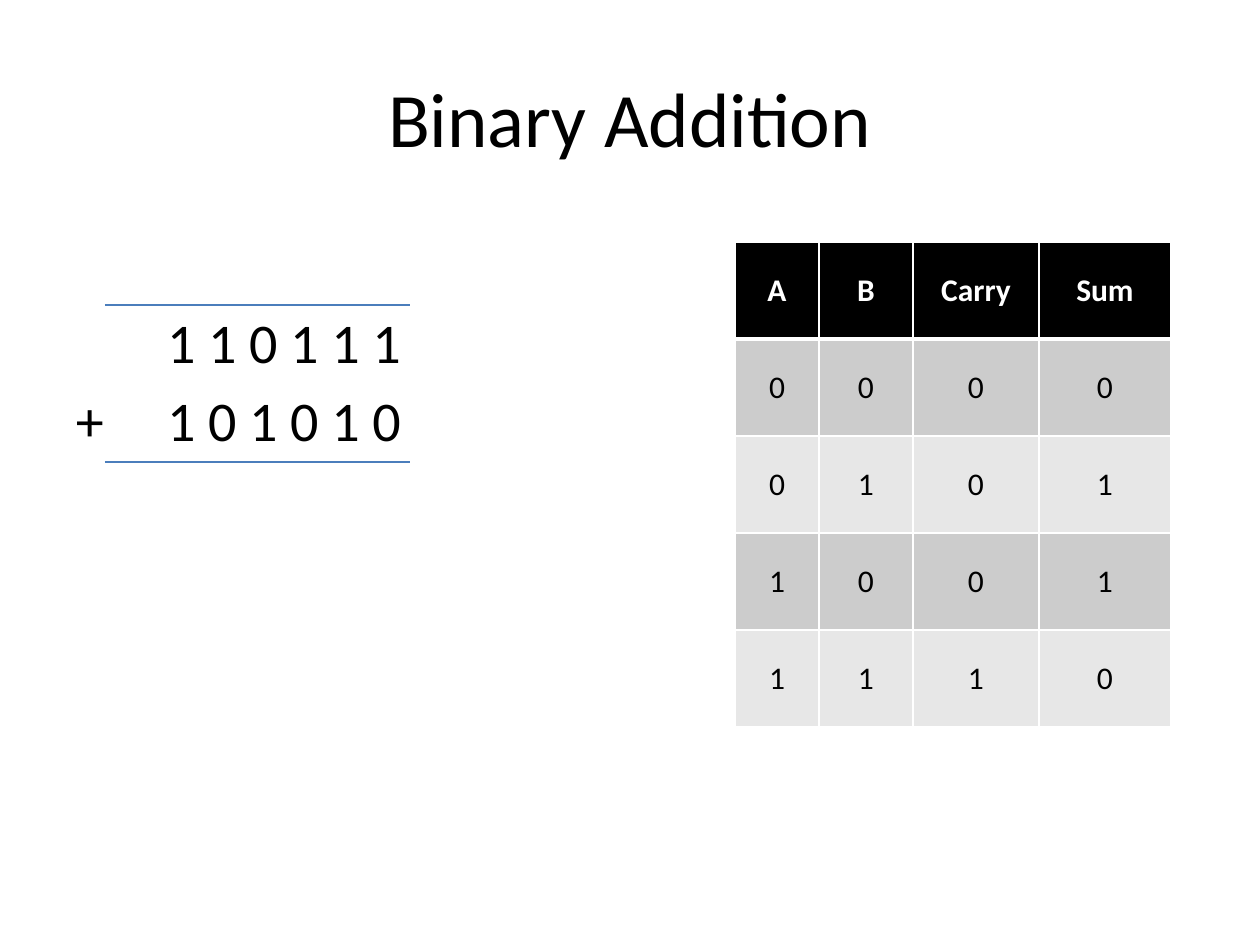
from dataclasses import dataclass

from lxml import etree
from pptx import Presentation
from pptx.dml.color import RGBColor
from pptx.enum.shapes import MSO_CONNECTOR
from pptx.enum.text import MSO_ANCHOR, PP_ALIGN
from pptx.oxml.ns import qn
from pptx.util import Pt

PX = 914400 / 126
STRAIGHT = MSO_CONNECTOR.STRAIGHT
MIDDLE = MSO_ANCHOR.MIDDLE
CENTER = PP_ALIGN.CENTER
LEFT = PP_ALIGN.LEFT


@dataclass(frozen=True)
class Theme:
    font: str = "Calibri"
    ink: str = "000000"
    paper: str = "FFFFFF"
    rule: str = "4B7EBC"
    bands: tuple = ("CCCCCC", "E7E7E7")
    title_size: int = 44
    sum_size: int = 32
    table_size: int = 18
    rule_width: float = 0.75
    grid_width: int = 1
    header_width: int = 3


THEME = Theme()


def px(length):
    return round(length * PX)


def box_emu(*box):
    return [px(length) for length in box]


def style(paragraph, size, color, align, bold=False):
    paragraph.alignment = align
    for run in paragraph.runs:
        run.font.name = THEME.font
        run.font.size = Pt(size)
        run.font.bold = bold
        run.font.color.rgb = RGBColor.from_string(color)


def add_title(slide, box, heading):
    title = slide.shapes.title
    title.left, title.top, title.width, title.height = box_emu(*box)
    title.text_frame.text = heading
    title.text_frame.vertical_anchor = MIDDLE
    style(title.text_frame.paragraphs[0], THEME.title_size, THEME.ink, CENTER)


def add_rule(slide, left, y, width):
    rule = slide.shapes.add_connector(STRAIGHT, *box_emu(left, y, left + width, y))
    rule.line.color.rgb = RGBColor.from_string(THEME.rule)
    rule.line.width = Pt(THEME.rule_width)
    etree.SubElement(rule._element.spPr, qn("a:effectLst"))


def add_sum(slide, box, addends):
    left, top, width, height = box
    working = slide.shapes.add_textbox(*box_emu(left, top + 3, width, height - 3))
    frame = working.text_frame
    frame.word_wrap = True
    frame.margin_left = frame.margin_right = 0
    frame.margin_top = frame.margin_bottom = 0
    frame.text = "\n".join(addends)
    for index, paragraph in enumerate(frame.paragraphs):
        tabs = etree.SubElement(paragraph._p.get_or_add_pPr(), qn("a:tabLst"))
        etree.SubElement(tabs, qn("a:tab"), pos=str(px(width - 9)), algn="r")
        if index:
            paragraph.space_before = Pt(6)
        style(paragraph, THEME.sum_size, THEME.ink, LEFT)
    for y in (top, top + height):
        add_rule(slide, left + 29, y, width - 29)


def add_border(cell, side, width):
    border = etree.SubElement(cell._tc.get_or_add_tcPr(), qn(f"a:ln{side}"), w=str(Pt(width)))
    fill = etree.SubElement(border, qn("a:solidFill"))
    etree.SubElement(fill, qn("a:srgbClr"), val=THEME.paper)


def format_cell(cell, row, value):
    header = row == 0
    cell.text_frame.text = value
    cell.vertical_anchor = MIDDLE
    color = THEME.paper if header else THEME.ink
    style(cell.text_frame.paragraphs[0], THEME.table_size, color, CENTER, header)
    heavy_side = {0: "B", 1: "T"}.get(row)
    for side in "LRTB":
        add_border(cell, side, THEME.header_width if side == heavy_side else THEME.grid_width)
    cell.fill.solid()
    background = THEME.ink if header else THEME.bands[(row - 1) % 2]
    cell.fill.fore_color.rgb = RGBColor.from_string(background)


def add_truth_table(slide, box, column_widths, rows):
    table = slide.shapes.add_table(len(rows), len(column_widths), *box_emu(*box)).table
    for column, width in zip(table.columns, column_widths):
        column.width = px(width)
    for row, values in enumerate(rows):
        table.rows[row].height = px(box[3] // len(rows))
        for column, value in enumerate(values):
            format_cell(table.cell(row, column), row, value)


def main():
    deck = Presentation()
    deck.slide_width, deck.slide_height = box_emu(1260, 945)
    slide = deck.slides.add_slide(deck.slide_layouts[5])
    add_title(slide, (63, 38, 1134, 158), "Binary Addition")
    add_sum(slide, (76, 305, 334, 157), ["\t1 1 0 1 1 1", "+\t1 0 1 0 1 0"])
    half_adder = [(a, b, a & b, a ^ b) for a in (0, 1) for b in (0, 1)]
    rows = [("A", "B", "Carry", "Sum")] + [tuple(map(str, bits)) for bits in half_adder]
    add_truth_table(slide, (735, 242, 436, 485), (84, 94, 126, 132), rows)
    deck.save("out.pptx")


if __name__ == "__main__":
    main()
